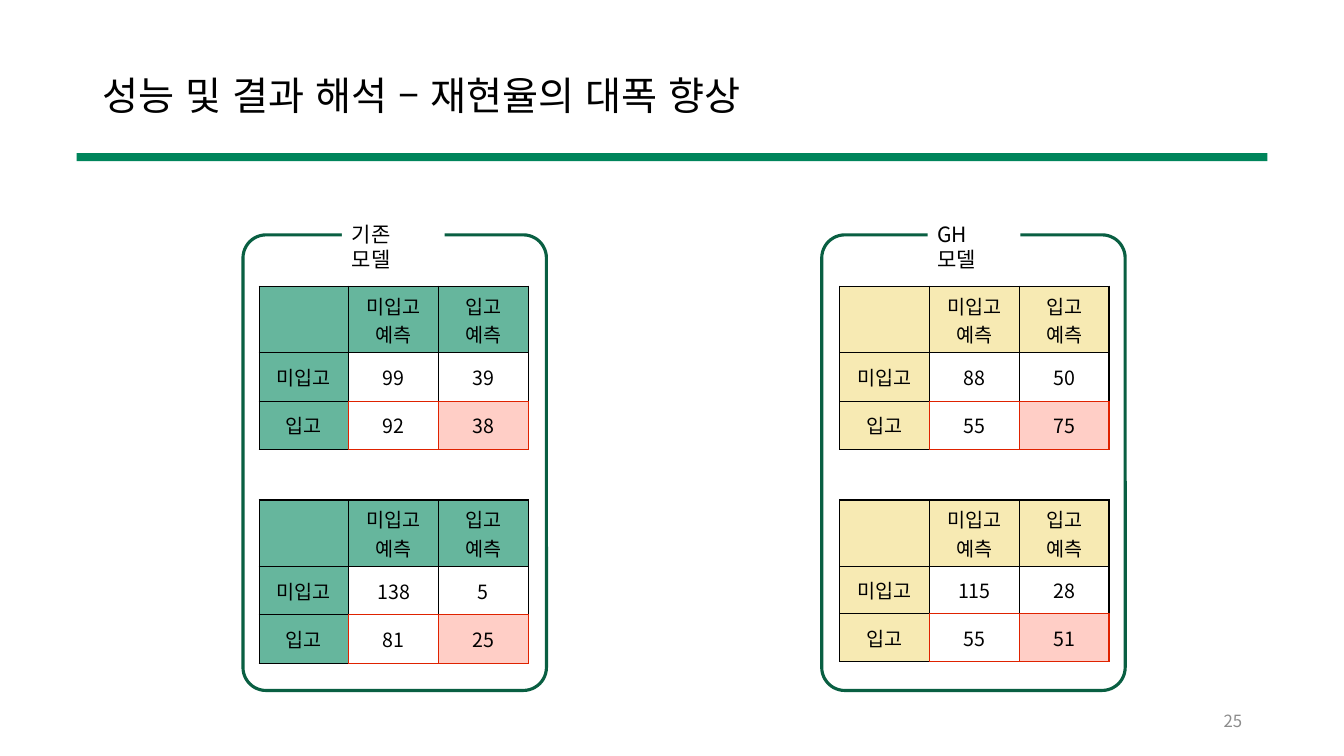
from lxml import etree
from pptx import Presentation
from pptx import util as u
from pptx.dml.color import RGBColor
from pptx.enum import lang, shapes, text
from pptx.oxml.ns import qn

THEME = {
    "font": "Noto Sans CJK KR",
    "ink": "000000", "muted": "8C8C8C", "paper": "FFFFFF",
    "rule": "00855B", "frame": "095F42",
    "green": "66B69D", "yellow": "F7EAB3",
    "alert": "DF2200", "alert_fill": "FFCEC6",
    "title": 28, "label": 15, "cell": 14, "page": 12,
}

prs = Presentation()
prs.slide_width, prs.slide_height = u.Inches(13.33), u.Inches(7.5)
slide = prs.slides.add_slide(prs.slide_layouts[6])


def write(frame, words, size, color="ink", align=text.PP_ALIGN.LEFT):
    """Write words into the first paragraph; a newline becomes a line break."""
    paragraph = frame.paragraphs[0]
    paragraph.alignment = align
    for i, line in enumerate(words.split("\n")):
        if i:
            paragraph.add_line_break()
        run = paragraph.add_run()
        run.text = line
        run.font.name = THEME["font"]
        run.font.size = u.Pt(THEME[size])
        run.font.language_id = lang.MSO_LANGUAGE_ID.KOREAN
        run.font.color.rgb = RGBColor.from_string(THEME[color])
        east_asian = etree.SubElement(run.font._element, qn("a:ea"))
        east_asian.set("typeface", THEME["font"])
    return paragraph


def add_box(preset, left, top, width, height, fill=None):
    """Add a plain shape without shadow or outline, measured in inches."""
    box = slide.shapes.add_shape(preset, *map(u.Inches, (left, top, width, height)))
    box.shadow.inherit = False
    box.line.fill.background()
    if fill:
        box.fill.solid()
        box.fill.fore_color.rgb = RGBColor.from_string(THEME[fill])
    else:
        box.fill.background()
    return box


# Title, rule and page number
title = slide.shapes.add_textbox(*map(u.Inches, (0.92, 0.56, 11.5, 0.83))).text_frame
page = slide.shapes.add_textbox(*map(u.Inches, (9.42, 6.95, 3, 0.4))).text_frame
for frame in (title, page):
    frame.word_wrap = True
    frame.vertical_anchor = text.MSO_ANCHOR.MIDDLE
write(title, "성능 및 결과 해석 – 재현율의 대폭 향상", "title").line_spacing = 0.9
write(page, "25", "page", "muted", text.PP_ALIGN.RIGHT)
add_box(shapes.MSO_SHAPE.RECTANGLE, 0.76, 1.52, 11.81, 0.08, "rule")

# Models: frame left, table left, label left and width, header colour, matrices
TABLE_TOPS = (2.84, 4.96)
COLUMN, HEADER_ROW = 0.89, 0.66
EVEN, SHORT = (HEADER_ROW, 0.48, 0.48), (HEADER_ROW, 0.47, 0.47)
BROKEN, WRAPPED = "미입고\n예측", "미입고 예측"
models = [
    ("기존 모델", 2.41, 2.57, 3.39, 1.02, "green",
     [(WRAPPED, EVEN, (99, 39), (92, 38)), (BROKEN, EVEN, (138, 5), (81, 25))]),
    ("GH 모델", 8.15, 8.33, 9.2, 0.92, "yellow",
     [(BROKEN, EVEN, (88, 50), (55, 75)), (BROKEN, SHORT, (115, 28), (55, 51))]),
]

for name, frame_left, table_left, label_left, label_width, header, matrices in models:
    # Rounded frame with its label set into the top edge
    model_frame = add_box(shapes.MSO_SHAPE.ROUNDED_RECTANGLE, frame_left, 2.33, 3.01, 4.52)
    model_frame.adjustments[0] = 0.076
    model_frame.line.color.rgb = RGBColor.from_string(THEME["frame"])
    model_frame.line.width = u.Pt(2.25)

    label = add_box(shapes.MSO_SHAPE.RECTANGLE, label_left, 2.15, label_width, 0.35, "paper")
    label.text_frame.word_wrap = True
    label.text_frame.vertical_anchor = text.MSO_ANCHOR.TOP
    label.text_frame.margin_right = u.Inches(0.2)
    write(label.text_frame, name, "label")

    # Confusion matrices
    for top, (missed, heights, negatives, positives) in zip(TABLE_TOPS, matrices):
        matrix = slide.shapes.add_table(
            3, 3, *map(u.Inches, (table_left, top, 3 * COLUMN, sum(heights)))).table
        matrix.first_row = matrix.horz_banding = False
        for column in matrix.columns:
            column.width = u.Inches(COLUMN)
        for row, height in zip(matrix.rows, heights):
            row.height = u.Inches(height)

        content = [("", missed, "입고\n예측"), ("미입고", *negatives), ("입고", *positives)]
        for r, values in enumerate(content):
            for c, value in enumerate(values):
                cell = matrix.cell(r, c)
                cell.vertical_anchor = text.MSO_ANCHOR.MIDDLE
                if value != "":
                    write(cell.text_frame, str(value), "cell", align=text.PP_ALIGN.CENTER)

                # Headings are tinted, true positives highlighted
                fill = header if r == 0 or c == 0 else "alert_fill" if r == c == 2 else None
                if fill:
                    cell.fill.solid()
                    cell.fill.fore_color.rgb = RGBColor.from_string(THEME[fill])
                else:
                    cell.fill.background()

                # Red borders surround the two values of the bottom row
                red = {"L": r == 2 and c > 0, "R": r == 2,
                       "T": r == 2 and c > 0, "B": r > 0 and c > 0}
                properties = cell._tc.get_or_add_tcPr()
                for i, (side, is_red) in enumerate(red.items()):
                    border = etree.Element(qn(f"a:ln{side}"), w=str(u.Pt(1)))
                    solid = etree.SubElement(border, qn("a:solidFill"))
                    etree.SubElement(solid, qn("a:srgbClr"),
                                     val=THEME["alert" if is_red else "ink"])
                    properties.insert(i, border)

prs.save("out.pptx")
